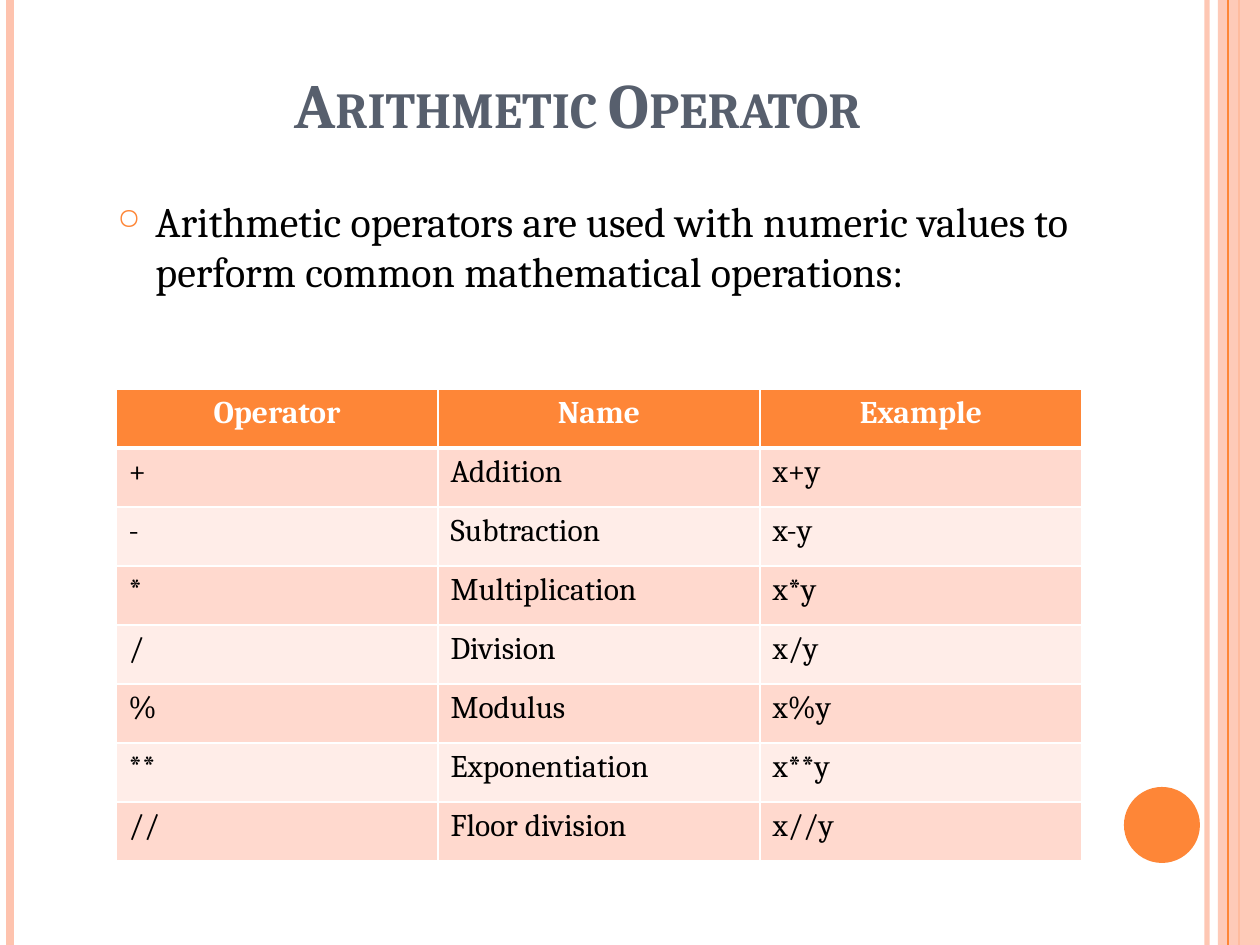
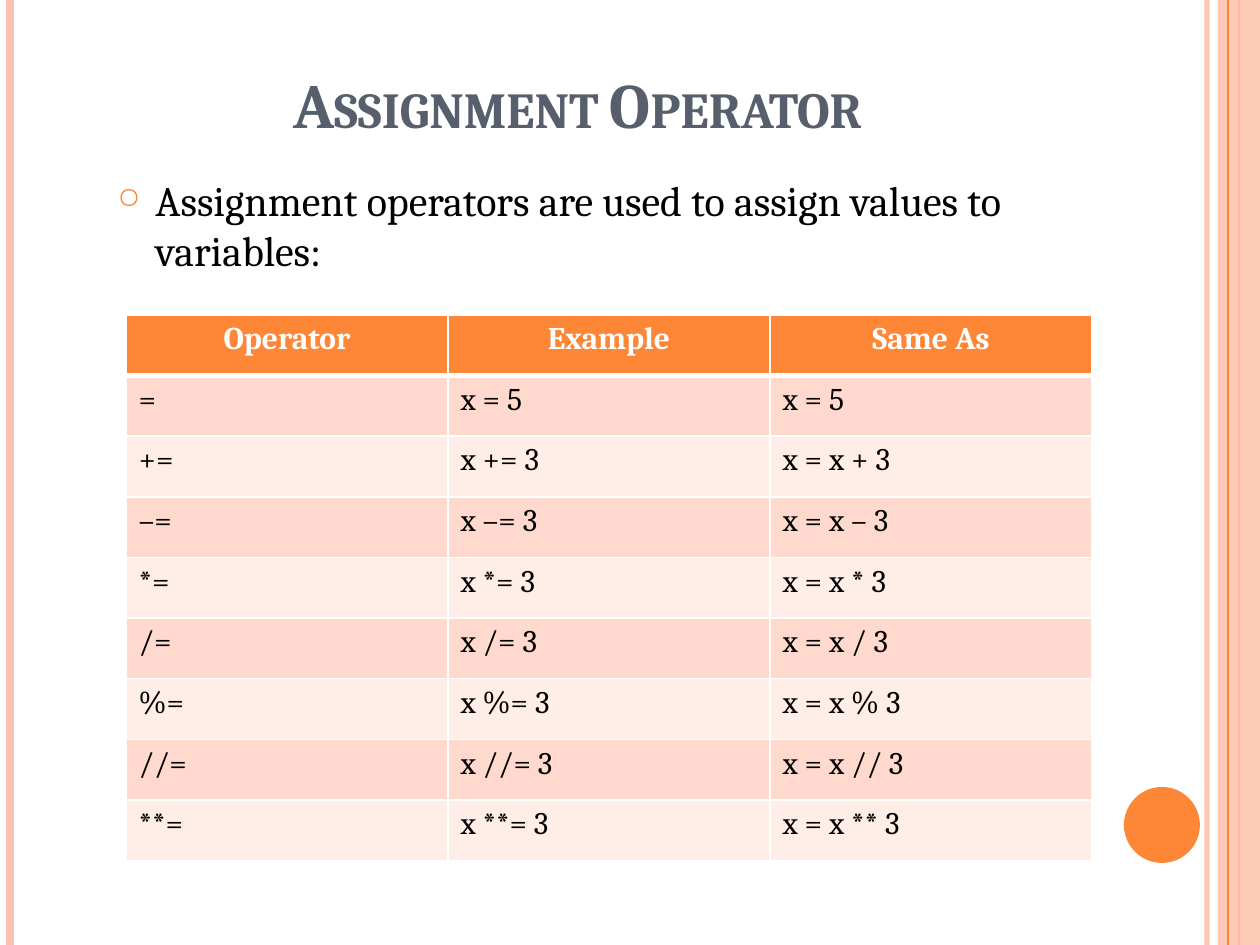
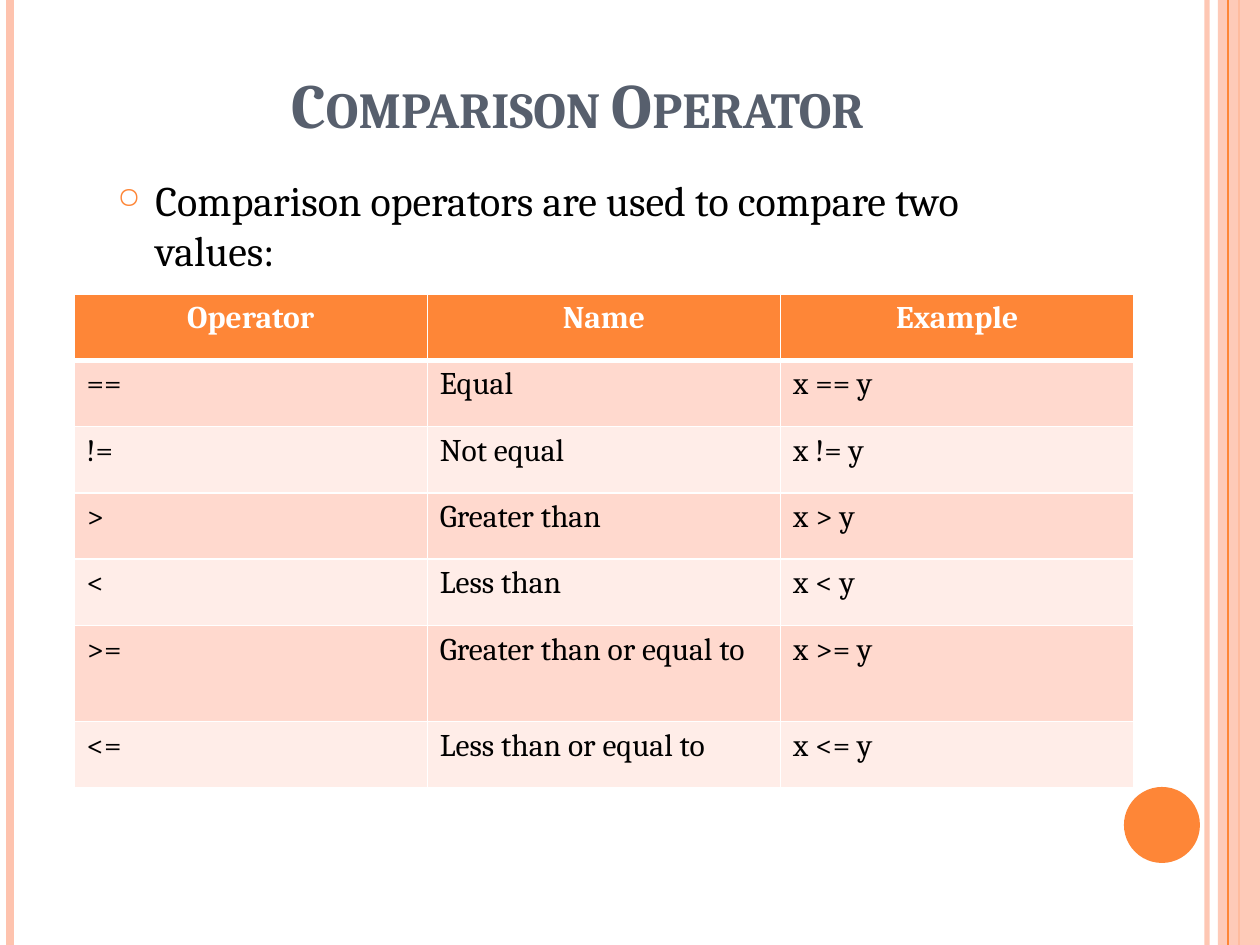
from lxml import etree
from pptx import Presentation
from pptx.dml.color import RGBColor
from pptx.enum.shapes import MSO_CONNECTOR, MSO_SHAPE
from pptx.enum.text import MSO_ANCHOR, PP_ALIGN
from pptx.oxml.ns import qn
from pptx.util import Emu, Pt

RECTANGLE, OVAL = MSO_SHAPE.RECTANGLE, MSO_SHAPE.OVAL
STRAIGHT = MSO_CONNECTOR.STRAIGHT
BOTTOM, TOP = MSO_ANCHOR.BOTTOM, MSO_ANCHOR.TOP
CENTER, LEFT = PP_ALIGN.CENTER, PP_ALIGN.LEFT

PX_PER_INCH = 126
PAGE_WIDTH, PAGE_HEIGHT = 1260, 945
FONT = "Cambria"
ORANGE, PEACH, SLATE = "FE8637", "FEC3AE", "575F6D"
BLACK, WHITE = "000000", "FFFFFF"
ROW_FILLS = ("FFD9CE", "FFEDE8")

ARITHMETIC = [
    ("Operator", "Name", "Example"),
    ("+", "Addition", "x+y"),
    ("-", "Subtraction", "x-y"),
    ("*", "Multiplication", "x*y"),
    ("/", "Division", "x/y"),
    ("%", "Modulus", "x%y"),
    ("**", "Exponentiation", "x**y"),
    ("//", "Floor division", "x//y"),
]
ASSIGNMENT = [("Operator", "Example", "Same As"), ("=", "x = 5", "x = 5")] + [
    (f"{sign}=", f"x {sign}= 3", f"x = x {sign} 3")
    for sign in ("+", "–", "*", "/", "%", "//", "**")
]
COMPARISON = [("Operator", "Name", "Example")] + [
    (sign, name, f"x {sign} y")
    for sign, name in (
        ("==", "Equal"),
        ("!=", "Not equal"),
        (">", "Greater than"),
        ("<", "Less than"),
        (">=", "Greater than or equal to"),
        ("<=", "Less than or equal to"),
    )
]


def px(length):
    return Emu(round(length * 914400 / PX_PER_INCH))


def color(value):
    return RGBColor.from_string(value)


def add_child(parent, tag, **attributes):
    return etree.SubElement(parent, qn(tag), attributes)


def set_opacity(element, percent):
    rgb = next(element.iter(qn("a:srgbClr")))
    add_child(rgb, "a:alpha", val=str(percent * 1000))


def add_vertical_line(page, x, hue, width, opacity=100):
    line = page.shapes.add_connector(STRAIGHT, px(x), 0, px(x), px(PAGE_HEIGHT))
    line.line.color.rgb = color(hue)
    line.line.width = Pt(width)
    properties = line._element.spPr
    add_child(properties, "a:effectLst")
    if opacity < 100:
        set_opacity(properties, opacity)


def add_plain_shape(page, kind, frame, hue):
    shape = page.shapes.add_shape(kind, *map(px, frame))
    shape.shadow.inherit = False
    shape.fill.solid()
    shape.fill.fore_color.rgb = color(hue)
    shape.line.fill.background()
    return shape


def add_decoration(page):
    """Draw the edge lines, the right band and the disc."""
    add_vertical_line(page, 1207, PEACH, 3, opacity=93)
    add_vertical_line(page, 10, PEACH, 4.5)
    add_vertical_line(page, 1239, ORANGE, 1.5)
    band = add_plain_shape(page, RECTANGLE, (1218, 0, 42, PAGE_HEIGHT), PEACH)
    set_opacity(band._element.spPr, 87)
    add_vertical_line(page, 1228, ORANGE, 0.75)
    add_plain_shape(page, OVAL, (1124, 787, 76, 76), ORANGE)


def style_paragraph(para, size, hue, bold=False, align=LEFT):
    para.alignment = align
    for span in para.runs:
        span.font.name = FONT
        span.font.size = Pt(size)
        span.font.bold = bold
        span.font.color.rgb = color(hue)


def add_text(page, frame, text, anchor=TOP):
    box = page.shapes.add_textbox(*map(px, frame))
    box.text_frame.word_wrap = True
    box.text_frame.vertical_anchor = anchor
    box.text_frame.text = text
    return box.text_frame.paragraphs[0]


def add_title(page, text):
    para = add_text(page, (63, 38, 1029, 109), text, BOTTOM)
    style_paragraph(para, 36, SLATE, bold=True, align=CENTER)
    para.runs[0].font._element.set("cap", "small")


def add_bullet(page, text, top, height):
    para = add_text(page, (105, top, 987, height), text)
    properties = para._p.get_or_add_pPr()
    indent = px(38)
    properties.set("marL", str(indent))
    properties.set("indent", str(-indent))
    add_child(add_child(properties, "a:buClr"), "a:srgbClr", val=ORANGE)
    add_child(properties, "a:buSzPct", val="70000")
    add_child(properties, "a:buChar", char="○")
    style_paragraph(para, 24, BLACK)


def set_borders(cell, top, bottom):
    """Give the cell white borders, 1 pt at the sides."""
    properties = cell._tc.get_or_add_tcPr()
    for side, width in (("L", 1), ("R", 1), ("T", top), ("B", bottom)):
        border = add_child(properties, f"a:ln{side}", w=str(Pt(width)))
        add_child(add_child(border, "a:solidFill"), "a:srgbClr", val=WHITE)


def fill_cell(cell, text, row):
    is_header = row == 0
    set_borders(cell, top=3 if row == 1 else 1, bottom=3 if is_header else 1)
    cell.fill.solid()
    cell.fill.fore_color.rgb = color(ORANGE if is_header else ROW_FILLS[(row - 1) % 2])
    cell.text_frame.text = text
    para = cell.text_frame.paragraphs[0]
    if is_header:
        style_paragraph(para, 18, WHITE, bold=True, align=CENTER)
    else:
        style_paragraph(para, 18, BLACK)


def add_operator_table(page, frame, rows, tall_row=None):
    """Share the height equally; tall_row gets 30 px more than the others."""
    height = frame[3]
    table = page.shapes.add_table(len(rows), len(rows[0]), *map(px, frame)).table
    table.horz_banding = False
    extra = 0 if tall_row is None else 30
    for index, values in enumerate(rows):
        row_height = (height - extra) / len(rows)
        table.rows[index].height = px(row_height + (extra if index == tall_row else 0))
        for column, text in enumerate(values):
            fill_cell(table.cell(index, column), text, index)


def add_page(deck, title):
    page = deck.slides.add_slide(deck.slide_layouts[6])
    add_decoration(page)
    add_title(page, title)
    return page


def main():
    deck = Presentation()
    deck.slide_width, deck.slide_height = px(PAGE_WIDTH), px(PAGE_HEIGHT)

    page = add_page(deck, "Arithmetic Operator")
    add_bullet(page, "Arithmetic operators are used with numeric values to "
               "perform common mathematical operations:", 189, 179)
    add_operator_table(page, (116, 389, 966, 472), ARITHMETIC)

    page = add_page(deck, "Assignment Operator")
    add_bullet(page, "Assignment operators are used to assign values to variables:", 168, 116)
    add_operator_table(page, (126, 315, 966, 546), ASSIGNMENT)

    page = add_page(deck, "Comparison Operator")
    add_bullet(page, "Comparison operators are used to compare two values:", 168, 116)
    add_operator_table(page, (74, 294, 1060, 494), COMPARISON, tall_row=5)

    deck.save("out.pptx")


if __name__ == "__main__":
    main()
